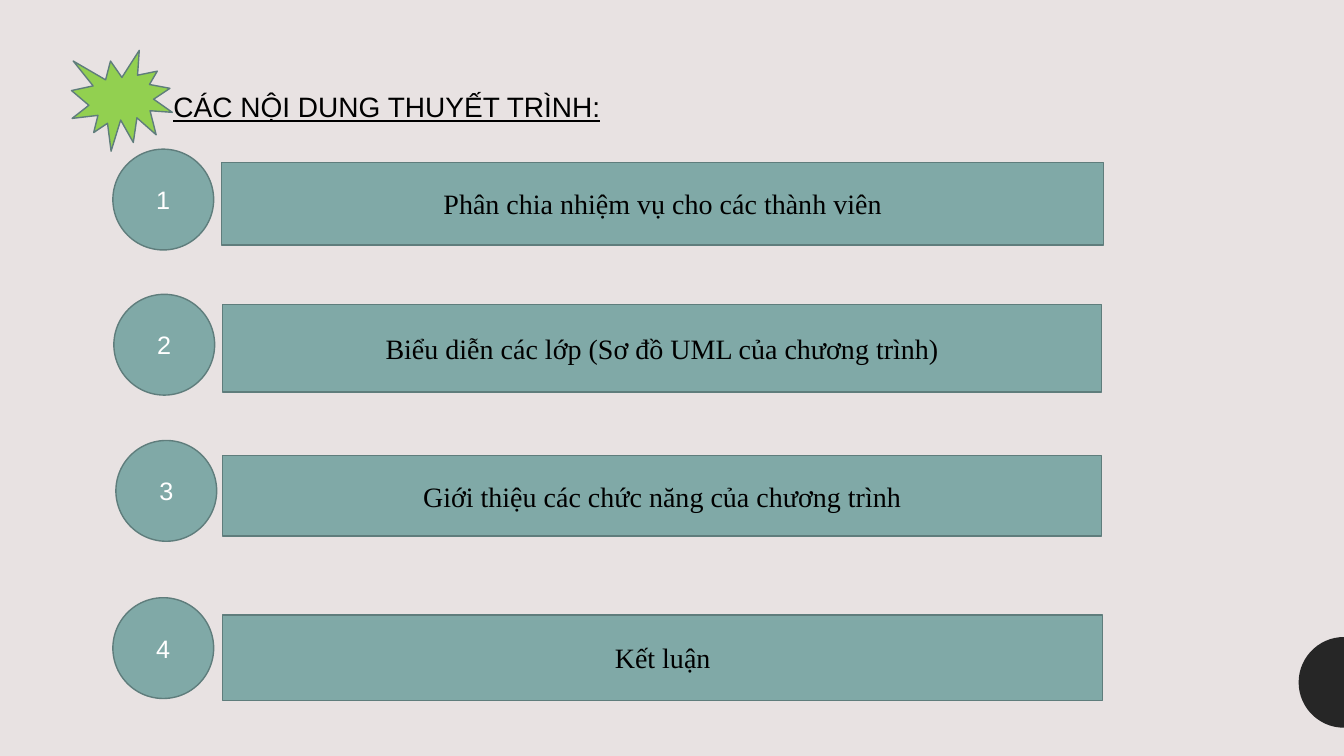
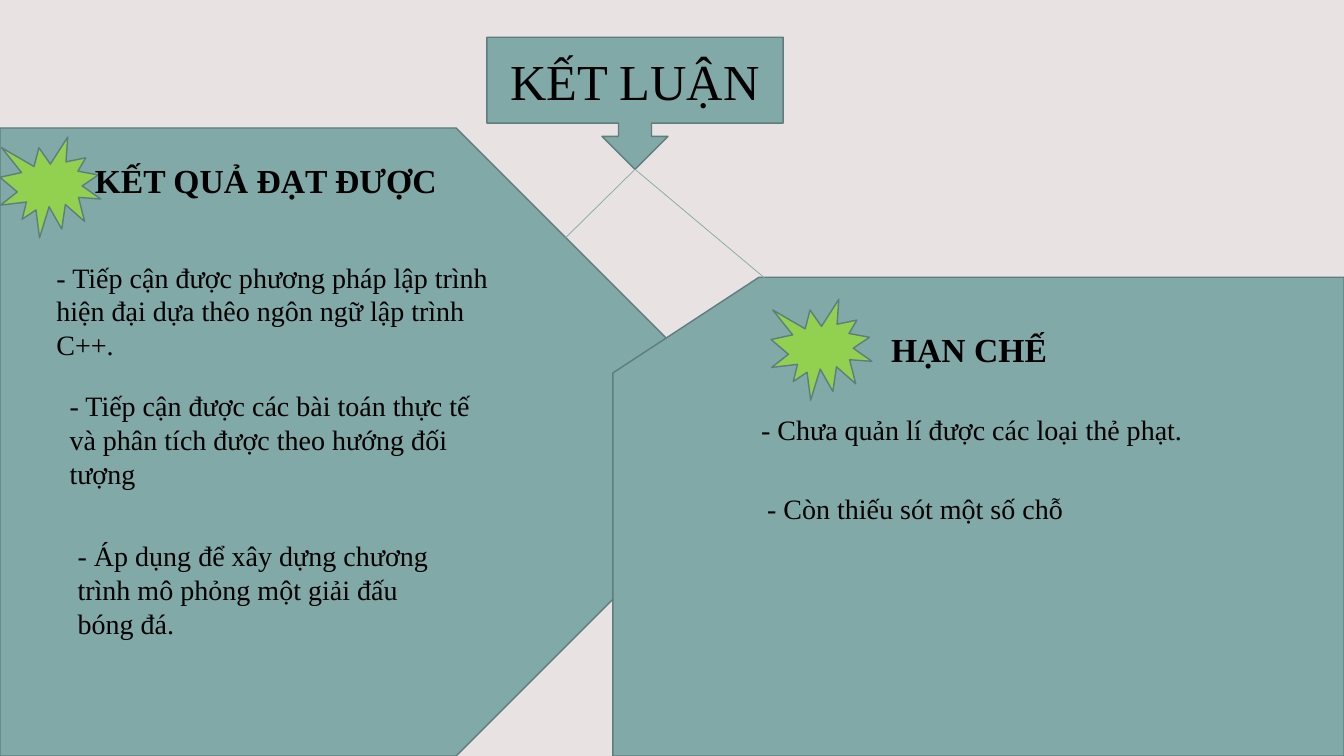
"""Build the agenda and conclusion slides of a project presentation."""
import math
from dataclasses import dataclass

import pptx
import pptx.dml.color
import pptx.enum.shapes
import pptx.enum.text
import pptx.oxml.ns
import pptx.presentation
import pptx.shapes.autoshape
import pptx.shapes.base
import pptx.slide
import pptx.util
from lxml import etree

RGBColor = pptx.dml.color.RGBColor
Shape = pptx.enum.shapes.MSO_SHAPE
Align = pptx.enum.text.PP_ALIGN
Anchor = pptx.enum.text.MSO_ANCHOR

PAPER = RGBColor(0xE8, 0xE2, 0xE2)
TEAL = RGBColor(0x80, 0xA9, 0xA7)
TEAL_EDGE = RGBColor(0x5F, 0x7D, 0x7C)
LIME = RGBColor(0x92, 0xD0, 0x50)
CHARCOAL = RGBColor(0x26, 0x26, 0x26)
BLACK = RGBColor(0, 0, 0)
WHITE = RGBColor(0xFF, 0xFF, 0xFF)

COLUMNS, ROWS = 40, 22.5
CELL = pptx.util.Inches(1 / 3)
BADGE = 3


@dataclass(frozen=True)
class Box:
    left: float
    top: float
    width: float = BADGE
    height: float = BADGE


@dataclass(frozen=True)
class Style:
    size: int
    font: str = "Times New Roman"
    color: RGBColor = BLACK
    bold: bool = False
    underline: bool = False
    align: Align = Align.LEFT
    anchor: Anchor = Anchor.TOP


@dataclass(frozen=True)
class Item:
    text: str
    indent: float = 0
    space_before: float = 0


@dataclass(frozen=True)
class Topic:
    text: str
    number_box: Box
    bar: Box


@dataclass(frozen=True)
class Panel:
    outline: Shape
    area: Box
    star: Box
    heading: str
    heading_box: Box
    items: tuple[Item, ...]
    list_box: Box


AGENDA_TITLE = Style(20, font="Arial", underline=True)
NUMBER = Style(18, font="Arial", color=WHITE, align=Align.CENTER, anchor=Anchor.MIDDLE)
TOPIC = Style(20, align=Align.CENTER, anchor=Anchor.MIDDLE)
CONCLUSION_TITLE = Style(36, align=Align.CENTER, anchor=Anchor.MIDDLE)
HEADING = Style(24, bold=True)
POINT = Style(20)

TOPICS = (
    Topic("Phân chia nhiệm vụ cho các thành viên",
          Box(3.36, 4.44), Box(6.6, 4.83, 26.25, 2.46)),
    Topic("Biểu diễn các lớp (Sơ đồ UML của chương trình)",
          Box(3.39, 8.76), Box(6.63, 9.06, 26.16, 2.61)),
    Topic("Giới thiệu các chức năng của chương trình",
          Box(3.45, 13.11), Box(6.63, 13.56, 26.16, 2.4)),
    Topic("Kết luận", Box(3.36, 17.79), Box(6.63, 18.3, 26.19, 2.55)),
)

PANELS = (
    Panel(
        Shape.PENTAGON, Box(0, 3.81, 22.92, 18.69), Box(0, 4.08),
        "KẾT QUẢ ĐẠT ĐƯỢC", Box(2.52, 4.62, 11.22, 1.5),
        (
            Item("- Tiếp cận được phương pháp lập trình hiện đại dựa thêo ngôn ngữ lập trình C++."),
            Item("- Tiếp cận được các bài toán thực tế và phân tích được theo hướng đối tượng",
                 0.39, 20),
            Item("- Áp dụng để xây dựng chương\vtrình mô phỏng một giải đấu\vbóng đá.",
                 0.63, 35),
        ),
        Box(1.38, 7.59, 13.62, 11.37),
    ),
    Panel(
        Shape.FLOWCHART_CARD, Box(18.24, 8.25, 21.76, 14.25), Box(22.95, 8.91),
        "HẠN CHẾ", Box(26.22, 9.63, 6.81, 1.5),
        (
            Item("- Chưa quản lí được các loại thẻ phạt."),
            Item("- Còn thiếu sót một số chỗ", 0.18, 32.5),
        ),
        Box(22.35, 12.12, 14.19, 3.63),
    ),
)


def cells(count: float) -> pptx.util.Emu:
    """Return the length of a number of grid cells."""
    return pptx.util.Emu(round(count * CELL))


def bounds(box: Box) -> tuple[pptx.util.Emu, ...]:
    """Return left, top, width and height of a box."""
    return cells(box.left), cells(box.top), cells(box.width), cells(box.height)


def write(target: pptx.shapes.base.BaseShape, items: tuple[Item, ...], style: Style) -> None:
    """Fill a shape or placeholder with styled paragraphs."""
    frame = target.text_frame
    frame.text = "\n".join(item.text for item in items)
    frame.word_wrap = True
    frame.auto_size = pptx.enum.text.MSO_AUTO_SIZE.NONE
    frame.vertical_anchor = style.anchor
    for paragraph, item in zip(frame.paragraphs, items):
        paragraph.alignment = style.align
        paragraph.space_before = pptx.util.Pt(item.space_before)
        properties = paragraph._p.get_or_add_pPr()
        properties.set("marL", str(cells(item.indent)))
        properties.set("indent", "0")
        etree.SubElement(properties, pptx.oxml.ns.qn("a:buNone"))
        for run in paragraph.runs:
            run.font.name = style.font
            run.font.size = pptx.util.Pt(style.size)
            run.font.color.rgb = style.color
            run.font.bold = style.bold
            run.font.underline = style.underline


def fill_placeholder(slide: pptx.slide.Slide, index: int, box: Box,
                     items: tuple[Item, ...], style: Style) -> None:
    """Move a placeholder into its box, bring it forward and fill it."""
    placeholder = next(p for p in slide.placeholders if p.placeholder_format.idx == index)
    placeholder.left, placeholder.top, placeholder.width, placeholder.height = bounds(box)
    slide.shapes.element.append(placeholder.element)
    write(placeholder, items, style)


def draw(slide: pptx.slide.Slide, outline: Shape, box: Box,
         fill: RGBColor = TEAL) -> pptx.shapes.autoshape.Shape:
    """Draw a flat preset shape with the shared edge."""
    figure = slide.shapes.add_shape(outline, *bounds(box))
    figure.shadow.inherit = False
    figure.fill.solid()
    figure.fill.fore_color.rgb = fill
    figure.line.color.rgb = TEAL_EDGE
    figure.line.width = pptx.util.Pt(1)
    return figure


def draw_star(slide: pptx.slide.Slide, box: Box) -> None:
    """Draw the lime burst beside a heading."""
    draw(slide, Shape.EXPLOSION1, box, LIME)


def draw_branch(slide: pptx.slide.Slide, end_column: float, end_row: float) -> None:
    """Draw a thin line from the callout tip to a panel."""
    branch = slide.shapes.add_connector(
        pptx.enum.shapes.MSO_CONNECTOR.STRAIGHT,
        cells(18.9), cells(5.04), cells(end_column), cells(end_row))
    branch.line.color.rgb = TEAL
    branch.line.width = pptx.util.Pt(0.5)
    etree.SubElement(branch.element.spPr, pptx.oxml.ns.qn("a:effectLst"))


def decorate_master(deck: pptx.presentation.Presentation, slide: pptx.slide.Slide) -> None:
    """Give the master its background and the half disc at the right edge."""
    master = deck.slide_master
    master.background.fill.solid()
    master.background.fill.fore_color.rgb = PAPER
    radius, middle, steps = 1.35, 20.31, 30
    arc = [(cells(COLUMNS - radius * math.sin(math.pi * step / steps)),
            cells(middle - radius * math.cos(math.pi * step / steps)))
           for step in range(steps + 1)]
    builder = slide.shapes.build_freeform(*arc[0])
    builder.add_line_segments(arc[1:], close=True)
    half_disc = builder.convert_to_shape()
    half_disc.shadow.inherit = False
    half_disc.fill.solid()
    half_disc.fill.fore_color.rgb = CHARCOAL
    half_disc.line.fill.background()
    half_disc.element.nvSpPr.cNvPr.id = 100
    master.shapes.element.append(half_disc.element)


def build_agenda(slide: pptx.slide.Slide) -> None:
    """Lay out the numbered topics."""
    fill_placeholder(slide, 0, Box(4.86, 2.52, 15.06, 1.32),
                     (Item("CÁC NỘI DUNG THUYẾT TRÌNH:"),), AGENDA_TITLE)
    for number, topic in enumerate(TOPICS, start=1):
        write(draw(slide, Shape.OVAL, topic.number_box), (Item(str(number)),), NUMBER)
        write(draw(slide, Shape.RECTANGLE, topic.bar), (Item(topic.text),), TOPIC)
    draw_star(slide, Box(2.13, 1.5))


def build_conclusion(slide: pptx.slide.Slide) -> None:
    """Lay out the results and limitations under the conclusion callout."""
    draw(slide, Shape.DOWN_ARROW_CALLOUT, Box(14.49, 1.11, 8.82, 3.93))
    fill_placeholder(slide, 0, Box(14.49, 1.11, 8.82, 2.55),
                     (Item("KẾT LUẬN"),), CONCLUSION_TITLE)
    for position, panel in enumerate(PANELS):
        draw(slide, panel.outline, panel.area)
        draw_star(slide, panel.star)
        heading_index = 1 + 2 * position
        fill_placeholder(slide, heading_index, panel.heading_box,
                         (Item(panel.heading),), HEADING)
        fill_placeholder(slide, heading_index + 1, panel.list_box, panel.items, POINT)
    draw_branch(slide, 16.83, 7.08)
    draw_branch(slide, 22.8, 8.31)


def main() -> None:
    """Create and save the presentation."""
    deck = pptx.Presentation()
    deck.slide_width, deck.slide_height = cells(COLUMNS), cells(ROWS)
    agenda = deck.slides.add_slide(deck.slide_layouts.get_by_name("Title Only"))
    decorate_master(deck, agenda)
    build_agenda(agenda)
    build_conclusion(deck.slides.add_slide(deck.slide_layouts.get_by_name("Comparison")))
    deck.save("out.pptx")


if __name__ == "__main__":
    main()
